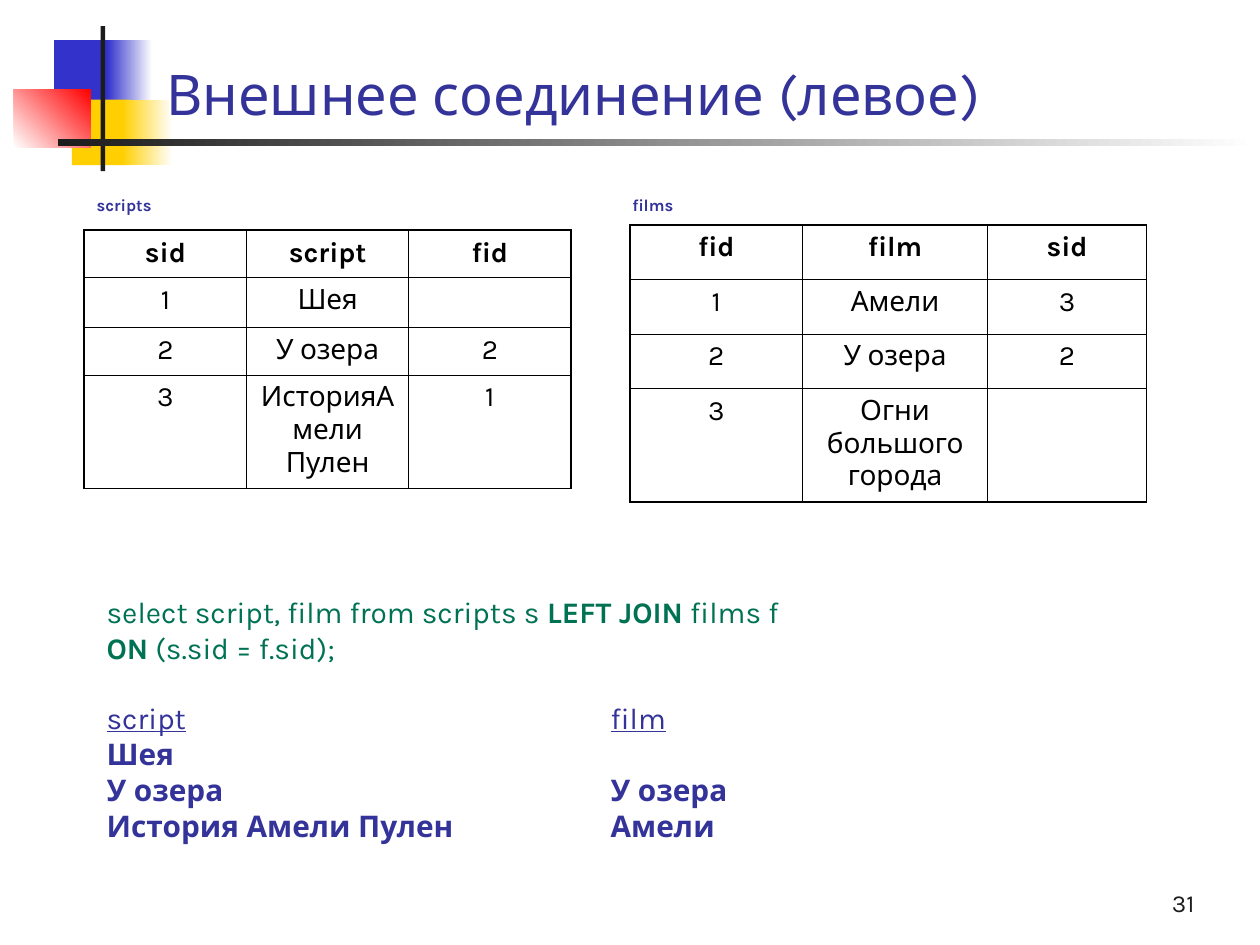
from lxml import etree
from pptx import Presentation, util as u
from pptx.dml.color import RGBColor
from pptx.enum import shapes, text
from pptx.oxml import ns

Cm, Pt = u.Cm, u.Pt
FONT = "Karla"
HEX = {
    "blue": "3333CC", "gold": "FFCF01", "red": "FF0000", "dark": "1C1C1C",
    "white": "FFFFFF", "black": "000000", "navy": "333399", "green": "007254",
}
THICK, THIN = Pt(1.08), Pt(0.45)
LEFT, RIGHT, MID = text.PP_ALIGN.LEFT, text.PP_ALIGN.RIGHT, text.PP_ALIGN.CENTER


def rgb(name):
    return RGBColor.from_string(HEX[name])


def add_run(para, words, size, color, **style):
    run = para.add_run()
    run.text = words
    look = {"name": FONT, "size": Pt(size), **style}
    for key, val in look.items():
        setattr(run.font, key, val)
    run.font.color.rgb = rgb(color)


def add_rect(slide, box, color, end=None, angle=0):
    """Plain block, or a two-colour fade when an end colour is given."""
    rect = slide.shapes.add_shape(shapes.MSO_SHAPE.RECTANGLE, *map(Cm, box))
    rect.shadow.inherit = False
    rect.line.fill.background()
    if end is None:
        rect.fill.solid()
        rect.fill.fore_color.rgb = rgb(color)
        return
    rect.fill.gradient()
    rect.fill.gradient_angle = angle
    for stop, name in zip(rect.fill.gradient_stops, (color, end)):
        stop.color.rgb = rgb(name)


def add_text(slide, box, lines, size, align=LEFT, tab=None, gaps=None):
    """Each line is a list of (words, colour, style) runs."""
    frame = slide.shapes.add_textbox(*map(Cm, box)).text_frame
    frame.word_wrap = True
    frame.vertical_anchor = text.MSO_ANCHOR.BOTTOM
    for i, line in enumerate(lines):
        para = frame.paragraphs[0] if i == 0 else frame.add_paragraph()
        para.alignment = align
        if tab:
            tabs = etree.SubElement(para._p.get_or_add_pPr(), ns.qn("a:tabLst"))
            etree.SubElement(tabs, ns.qn("a:tab"), pos=str(Cm(tab)), algn="l")
        if gaps and i in gaps:
            para.space_before = Pt(gaps[i])
        for words, color, style in line:
            add_run(para, words, size, color, **style)


def add_edge(cell, side, width):
    line = etree.SubElement(cell._tc.get_or_add_tcPr(), ns.qn("a:ln" + side),
                            w=str(int(width)))
    fill = etree.SubElement(line, ns.qn("a:solidFill"))
    etree.SubElement(fill, ns.qn("a:srgbClr"), val=HEX["black"])


def add_grid(slide, left, top, cols, rows, data):
    """Table with a thick frame and thin inner lines."""
    grid = slide.shapes.add_table(len(rows), len(cols), Cm(left), Cm(top),
                                  Cm(sum(cols)), Cm(sum(rows))).table
    grid.first_row = grid.horz_banding = False
    for col, width in zip(grid.columns, cols):
        col.width = Cm(width)
    for row, height in zip(grid.rows, rows):
        row.height = Cm(height)
    for r, line in enumerate(data):
        for c, words in enumerate(line):
            cell = grid.cell(r, c)
            para = cell.text_frame.paragraphs[0]
            para.alignment = MID
            add_run(para, words, 16, "black", bold=r == 0)
            outer = {"L": c == 0, "R": c == len(cols) - 1,
                     "T": r == 0, "B": r == len(rows) - 1}
            for side, edge in outer.items():
                add_edge(cell, side, THICK if edge else THIN)
            cell.fill.background()


def add_decor(slide):
    add_rect(slide, (1.09, 0.81, 1.22, 1.32), "blue")
    add_rect(slide, (2.16, 0.81, 0.91, 1.32), "blue", "white")
    add_rect(slide, (1.45, 2.01, 1.17, 1.32), "gold")
    add_rect(slide, (2.46, 2.01, 1.02, 1.32), "gold", "white")
    add_rect(slide, (0.28, 1.8, 1.55, 1.17), "white", "red", 45)
    add_rect(slide, (2.03, 0.53, 0.09, 2.92), "dark")
    add_rect(slide, (1.17, 2.8, 24.16, 0.15), "dark", "white")


def main():
    deck = Presentation()
    deck.slide_width, deck.slide_height = Cm(25.4), Cm(19.05)
    slide = deck.slides.add_slide(deck.slide_layouts[6])
    bold, under = {"bold": True}, {"underline": True}

    # Corner blocks and title
    add_decor(slide)
    add_text(slide, (3.1, 0.33, 21.59, 2.36),
             [[("Внешнее соединение (левое)", "navy", {})]], 32)

    # Source tables with their names
    for left, name in ((1.7, "scripts"), (12.5, "films")):
        add_text(slide, (left, 3.33, 3.4, 1.12), [[(name, "navy", bold)]], 9.5)
    add_grid(slide, 12.7, 4.53, (3.48, 3.73, 3.2), (1.1, 1.1, 1.1, 2.29), (
        ("fid", "film", "sid"),
        ("1", "Амели", "3"),
        ("2", "У озера", "2"),
        ("3", "Огни большого города", ""),
    ))
    add_grid(slide, 1.7, 4.64, (3.27,) * 3, (0.95, 0.99, 0.95, 2.29), (
        ("sid", "script", "fid"),
        ("1", "Шея", ""),
        ("2", "У озера", "2"),
        ("3", "ИсторияАмели Пулен", "1"),
    ))

    # Query and its result
    found = ("Шея", "У озера\tУ озера", "История Амели Пулен\tАмели")
    lines = [
        [("select script, film from scripts s ", "green", {}),
         ("LEFT JOIN", "green", bold), (" films f", "green", {})],
        [("ON", "green", bold), (" (s.sid = f.sid);", "green", {})],
        [("script", "navy", under), ("\t", "navy", {}), ("film", "navy", under)],
        *([(row, "navy", bold)] for row in found),
    ]
    add_text(slide, (1.9, 10.72, 21.21, 6.4), lines, 17, tab=10.16, gaps={2: 20})

    # Slide number
    add_text(slide, (19.05, 17.35, 5.28, 1.27), [[("31", "dark", {})]], 14, RIGHT)
    deck.save("out.pptx")


if __name__ == "__main__":
    main()
